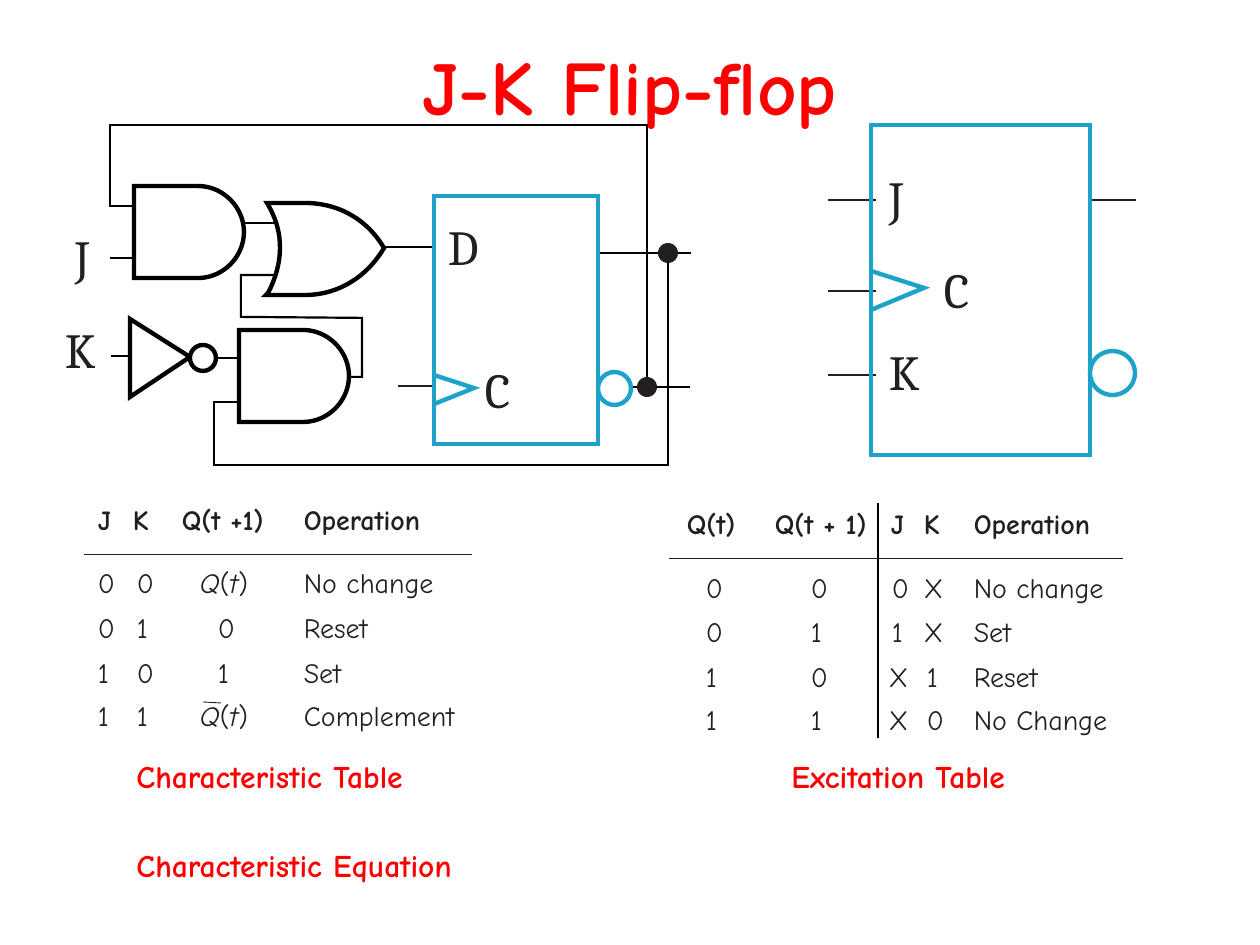
from itertools import pairwise

from lxml import etree
from pptx import Presentation
from pptx.dml.color import RGBColor
from pptx.enum.shapes import MSO_CONNECTOR, MSO_SHAPE
from pptx.enum.text import MSO_ANCHOR, PP_ALIGN
from pptx.oxml.ns import qn
from pptx.util import Emu, Pt

STRAIGHT = MSO_CONNECTOR.STRAIGHT
RECT, OVAL = MSO_SHAPE.RECTANGLE, MSO_SHAPE.OVAL
MIDDLE, BOTTOM = MSO_ANCHOR.MIDDLE, MSO_ANCHOR.BOTTOM
CENTER = PP_ALIGN.CENTER

RED = RGBColor(0xFF, 0x00, 0x00)
BLACK = RGBColor(0x00, 0x00, 0x00)
INK = RGBColor(0x23, 0x1F, 0x20)
BLUE = RGBColor(0x1D, 0xA3, 0xC9)
WHITE = RGBColor(0xFF, 0xFF, 0xFF)

HAND, SERIF = "Comic Neue", "Cambria"
THIN, THICK = 1.25, 2.5
NO_TABLE_STYLE = "{2D5ABB26-0587-4C30-8999-92F81FD0307C}"
ROW_HEIGHTS = (55, 47, 45, 45, 43)
VALUE_SHIFT = {"X": -3, "Q(t)": -18}

# Each column: left edge, start of its header, start of its values.
CHARACTERISTIC_COLUMNS = ((84, 98, 98), (131, 133, 137), (170, 182, 218), (298, 304, 304))
CHARACTERISTIC = (
    ("J", "K", "Q(t +1)", "Operation"),
    ("0", "0", "Q(t)", "No change"),
    ("0", "1", "0", "Reset"),
    ("1", "0", "1", "Set"),
    ("1", "1", "Q(t)", "Complement"),
)
EXCITATION_COLUMNS = ((669, 687, 706), (768, 775, 811), (878, 891, 892),
                      (923, 924, 927), (950, 974, 974))
EXCITATION = (
    ("Q(t)", "Q(t + 1)", "J", "K", "Operation"),
    ("0", "0", "0", "X", "No change"),
    ("0", "1", "1", "X", "Set"),
    ("1", "0", "X", "1", "Reset"),
    ("1", "1", "X", "0", "No Change"),
)


def px(length):
    """Turn pixels into EMU."""
    return Emu(round(length * 914400 / 126))


def add_run(paragraph, text, size, font, color, bold=False, italic=False):
    """Append one formatted run."""
    run = paragraph.add_run()
    run.text = text
    run.font.size, run.font.name = Pt(size), font
    run.font.bold, run.font.italic = bold, italic
    run.font.color.rgb = color


def style_outline(shape, color, width, fill=None):
    """Set fill, mitred line and no shadow; width 0 means no line."""
    shape.shadow.inherit = False
    if fill is None:
        shape.fill.background()
    else:
        shape.fill.solid()
        shape.fill.fore_color.rgb = fill
    if not width:
        shape.line.fill.background()
        return
    shape.line.color.rgb = color
    shape.line.width = Pt(width)
    etree.SubElement(shape.line._get_or_add_ln(), qn("a:miter"), lim="800000")


def add_preset(shapes, kind, box, color, width, fill=None):
    """Add a rectangle or an ellipse."""
    preset = shapes.add_shape(kind, *map(px, box))
    style_outline(preset, color, width, fill)


def add_outline(shapes, strokes, color, width, fill=None, close=False):
    """Add one freeform made of one or more strokes."""
    builder = None
    for stroke in strokes:
        start, *rest = [(px(x), px(y)) for x, y in stroke]
        if builder is None:
            builder = shapes.build_freeform(*start, scale=1.0)
        else:
            builder.move_to(*start)
        builder.add_line_segments(rest, close=close)
    style_outline(builder.convert_to_shape(), color, width, fill)


def add_line(shapes, start, end, color, width):
    """Add a straight connector."""
    line = shapes.add_connector(STRAIGHT, *map(px, (*start, *end)))
    line.line.color.rgb = color
    line.line.width = Pt(width)
    etree.SubElement(line._element.spPr, qn("a:effectLst"))


def add_label(shapes, text, left, top):
    """Add a signal name with its box tight around it."""
    frame = shapes.add_textbox(px(left), px(top), px(38), px(59)).text_frame
    frame.margin_left = frame.margin_right = 0
    frame.margin_top = frame.margin_bottom = 0
    frame.word_wrap = False
    add_run(frame.paragraphs[0], text, 28, SERIF, INK)


def add_caption(shapes, text, left, top, width):
    """Add a red caption."""
    frame = shapes.add_textbox(px(left), px(top), px(width), px(89)).text_frame
    frame.word_wrap = True
    add_run(frame.paragraphs[0], text, 18, HAND, RED, bold=True)


def curve(start, control_1, control_2, end, steps=24):
    """Return points along a cubic curve."""
    points = []
    for step in range(steps + 1):
        t = step / steps
        weights = ((1 - t) ** 3, 3 * t * (1 - t) ** 2, 3 * t * t * (1 - t), t ** 3)
        axes = zip(start, control_1, control_2, end)
        points.append(tuple(sum(w * v for w, v in zip(weights, axis)) for axis in axes))
    return points


def add_and_gate(shapes, left, top):
    """Add an AND gate."""
    gate = [(0, 0), (0, 92), *curve((64, 92), (89, 92), (110, 71), (110, 46)),
            *curve((110, 46), (110, 21), (89, 0), (64, 0))]
    add_outline(shapes, [[(left + x, top + y) for x, y in gate]],
                BLACK, THICK, WHITE, close=True)


def add_or_gate(shapes):
    """Add the OR gate that feeds D."""
    gate = [*curve((268, 293), (276, 278), (280, 262), (280, 248)),
            *curve((280, 248), (280, 232), (276, 218), (267, 203)),
            *curve((305, 203), (338, 203), (367, 219), (384, 248)),
            *curve((384, 248), (367, 277), (338, 295), (305, 295)), (266, 295)]
    add_outline(shapes, [gate], BLACK, THICK, WHITE, close=True)


def add_circuit(shapes):
    """Draw the flip-flop built from gates and a D flip-flop."""
    data_wires = [[(384, 247), (433, 247)], [(215, 358), (239, 358)]]
    feedback_wires = [
        [(135, 206), (110, 206), (110, 125), (647, 125), (647, 387)],
        [(238, 402), (214, 402), (214, 465), (668, 465), (668, 253)],
        [(600, 253), (691, 253)], [(631, 387), (690, 387)],
    ]
    gate_wires = [
        [(349, 377), (362, 377), (362, 318), (241, 317), (241, 275), (276, 275)],
        [(244, 223), (276, 223)], [(110, 258), (134, 258)], [(111, 356), (130, 356)],
    ]
    add_line(shapes, (398, 386), (433, 386), INK, THIN)
    add_outline(shapes, data_wires, BLACK, THIN)
    add_preset(shapes, RECT, (434, 196, 164, 248), BLUE, THICK)
    add_outline(shapes, [[(130, 319), (130, 397), (190, 357)]],
                BLACK, THICK, WHITE, close=True)
    add_preset(shapes, OVAL, (190, 345, 26, 26), BLACK, THICK, WHITE)
    add_outline(shapes, feedback_wires, BLACK, THIN)
    add_or_gate(shapes)
    add_and_gate(shapes, 134, 186)
    add_and_gate(shapes, 239, 330)
    add_outline(shapes, gate_wires, BLACK, THIN)
    add_preset(shapes, OVAL, (598, 372, 33, 33), BLUE, THICK)
    add_outline(shapes, [[(434, 375), (474, 388), (434, 404)]], BLUE, THICK)
    for left, top in ((658, 243), (637, 377)):
        add_preset(shapes, OVAL, (left, top, 20, 20), INK, 0, INK)
    for text, left, top in (("D", 448, 217), ("C", 485, 359),
                            ("K", 65, 319), ("J", 75, 226)):
        add_label(shapes, text, left, top)


def add_symbol(shapes):
    """Draw the J-K flip-flop symbol."""
    leads = [[(start, y), (end, y)] for y, start, end in (
        (200, 828, 876), (200, 1092, 1136), (291, 828, 876), (375, 828, 876))]
    add_outline(shapes, leads, INK, THIN)
    add_preset(shapes, RECT, (871, 125, 219, 330), BLUE, THICK)
    add_outline(shapes, [[(871, 271), (924, 288), (871, 310)]], BLUE, THICK)
    add_preset(shapes, OVAL, (1090, 351, 45, 44), BLUE, THICK)
    for text, left, top in (("J", 889, 167), ("C", 944, 260), ("K", 889, 341)):
        add_label(shapes, text, left, top)


def add_border(cell, side, color, width):
    """Draw one border of a cell; call for the bottom before the right."""
    border = etree.Element(qn(f"a:{side}"), w=str(Pt(width)))
    fill = etree.SubElement(border, qn("a:solidFill"))
    etree.SubElement(fill, qn("a:srgbClr"), val=str(color))
    cell._tc.get_or_add_tcPr().insert(0, border)


def add_truth_table(shapes, rows, columns, right, top, divider=None):
    """Add a table with a header rule and an optional column divider."""
    edges = [column[0] for column in columns] + [right]
    frame = shapes.add_table(len(rows), len(columns), px(edges[0]), px(top),
                             px(right - edges[0]), px(sum(ROW_HEIGHTS)))
    table = frame.table
    table.first_row = table.horz_banding = False
    table._tbl.tblPr[0].text = NO_TABLE_STYLE
    for column, (start, end) in zip(table.columns, pairwise(edges)):
        column.width = px(end - start)
    for r, values in enumerate(rows):
        table.rows[r].height = px(ROW_HEIGHTS[r])
        header = r == 0
        for c, text in enumerate(values):
            edge, header_start, value_start = columns[c]
            start = header_start if header else value_start + VALUE_SHIFT.get(text, 0)
            cell = table.cell(r, c)
            cell.fill.background()
            cell.vertical_anchor = BOTTOM
            cell.margin_left = px(start - edge)
            cell.margin_right = cell.margin_top = 0
            cell.margin_bottom = px(17 if header else 0)
            formula = text == "Q(t)" and not header
            for part in text if formula else [text]:
                add_run(cell.text_frame.paragraphs[0], part, 16, HAND, INK,
                        bold=header, italic=formula and part.isalpha())
            if header:
                add_border(cell, "lnB", INK, 0.5)
            if c == divider:
                add_border(cell, "lnR", BLACK, 1.5)


def main():
    """Build the slide."""
    deck = Presentation()
    deck.slide_width, deck.slide_height = px(1260), px(945)
    shapes = deck.slides.add_slide(deck.slide_layouts[5]).shapes
    title = shapes.title
    title.left, title.top, title.width, title.height = map(px, (63, 6, 1134, 158))
    title.text_frame.vertical_anchor = MIDDLE
    heading = title.text_frame.paragraphs[0]
    heading.alignment = CENTER
    add_run(heading, "J-K Flip-flop", 44, HAND, RED, bold=True)
    add_circuit(shapes.add_group_shape().shapes)
    add_symbol(shapes.add_group_shape().shapes)
    add_truth_table(shapes, CHARACTERISTIC, CHARACTERISTIC_COLUMNS, 472, 499)
    add_line(shapes, (203, 702), (221, 703), INK, 0.5)
    add_truth_table(shapes, EXCITATION, EXCITATION_COLUMNS, 1123, 503, divider=1)
    add_caption(shapes, "Characteristic Table", 124, 751, 357)
    add_caption(shapes, "Excitation Table", 779, 751, 357)
    add_caption(shapes, "Characteristic Equation", 124, 840, 417)
    deck.save("out.pptx")


main()
